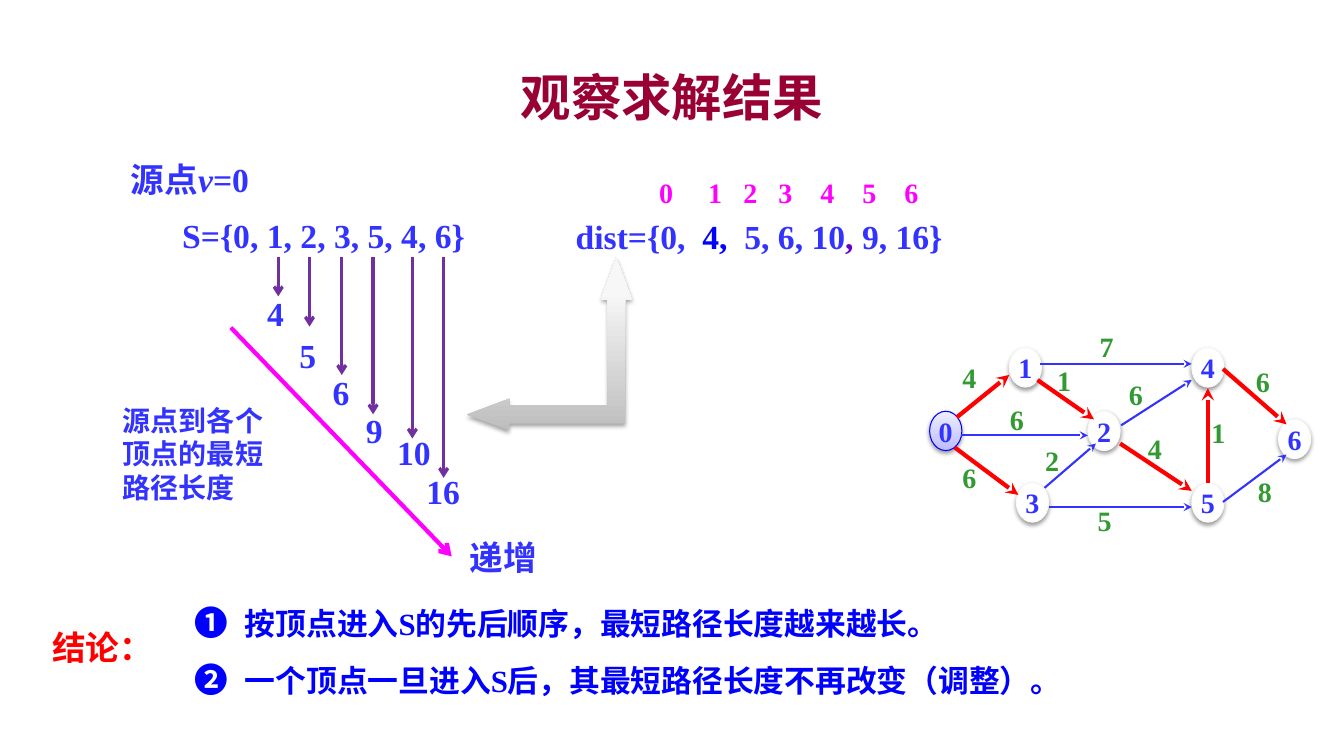
import pptx
import pptx.dml.color
import pptx.enum.dml
import pptx.enum.shapes
import pptx.enum.text
import pptx.oxml
import pptx.oxml.ns
import pptx.util

# Content: places and sizes count cells of a grid with 1333 columns and 750 rows
COLUMNS, ROWS = 1333, 750
CELL = pptx.util.Inches(0.01)
SERIF, SANS = "Times New Roman", "Noto Sans CJK SC"
BLUE, DEEP_BLUE, RED, GREEN = "3333FF", "0000FF", "FF0000", "339933"
MAGENTA, PURPLE, MAROON = "FF00FF", "7030A0", "990033"

TITLE = "观察求解结果"
SOURCE_VERTEX = [("源点", {}), ("v", {"italic": True}), ("=0", {})]
VERTEX_ORDER = "S={0, 1, 2, 3, 5, 4, 6}"
DISTANCES = [("dist={0,  ", BLUE), ("4,  ", DEEP_BLUE), ("5, 6, 10", BLUE),
             (", ", "6600CC"), ("9, 16}", BLUE)]
INDEX_TABS = [35, 60, 85, 115, 145, 175]  # points from the first index
CONCLUSIONS = [("❶", "按顶点进入S的先后顺序，最短路径长度越来越长。"),
               ("❷", "一个顶点一旦进入S后，其最短路径长度不再改变（调整）。")]

# Length, arrow column, arrow end row, label column, label row
PATH_LENGTHS = [("4", 276, 294, 255, 286), ("5", 307, 324, 287, 327),
                ("6", 339, 372, 320, 364), ("9", 370, 411, 353, 402),
                ("10", 409, 435, 384, 424), ("16", 440, 474, 413, 462)]
ARROW_TOP = 255

NODE_SIZE = (32, 39)
NODES = [(922, 408), (1001, 345), (1079, 408), (1008, 479),
         (1182, 345), (1182, 479), (1268, 416)]
# Start, end, weight, label place
TREE_EDGES = [((949, 414), (1001, 372), "4", (938, 353)),
              ((947, 444), (1010, 491), "6", (938, 452)),
              ((1029, 377), (1085, 416), "1", (1032, 356)),
              ((1111, 440), (1182, 487), "4", (1122, 423)),
              ((1198, 479), (1198, 385), "1", (1185, 407)),
              ((1213, 366), (1276, 421), "6", (1229, 357))]
OTHER_EDGES = [((953, 432), (1079, 432), "6", (985, 394)),
               ((1032, 361), (1182, 361), "7", (1074, 322)),
               ((1040, 503), (1182, 503), "5", (1072, 495)),
               ((1036, 484), (1087, 440), "2", (1020, 435)),
               ((1112, 422), (1182, 377), "6", (1103, 370)),
               ((1213, 498), (1276, 451), "8", (1231, 466))]

LEFT = pptx.enum.text.PP_ALIGN.LEFT
CENTER = pptx.enum.text.PP_ALIGN.CENTER
MIDDLE = pptx.enum.text.MSO_ANCHOR.MIDDLE

deck = pptx.Presentation()
deck.slide_width, deck.slide_height = COLUMNS * CELL, ROWS * CELL
page = deck.slides.add_slide(deck.slide_layouts[6])


def color(value):
    return pptx.dml.color.RGBColor.from_string(value)


def add_xml(parent, tag, **attributes):
    child = pptx.oxml.parse_xml(f"<a:{tag} {pptx.oxml.ns.nsdecls('a')}/>")
    for name, value in attributes.items():
        child.set(name, str(value))
    parent.append(child)
    return child


def assign(target, values):
    for name, value in values.items():
        setattr(target, name, value)


def add_span(para, text, size, hue, font=SERIF, **style):
    span = para.add_run()
    span.text = text
    assign(span.font, {"name": font, "size": pptx.util.Pt(size), "bold": True, **style})
    span.font.color.rgb = color(hue)
    add_xml(span.font._element, "ea", typeface=SANS)


def add_box(left, top, width, height, align=LEFT, inset=True, **frame_values):
    """Add a text box; return its first paragraph and its frame."""
    box = page.shapes.add_textbox(*(n * CELL for n in (left, top, width, height)))
    frame = box.text_frame
    assign(frame, {"word_wrap": True, **frame_values})
    if not inset:
        assign(frame, dict.fromkeys(
            ("margin_left", "margin_right", "margin_top", "margin_bottom"), 0))
    frame.paragraphs[0].alignment = align
    return frame.paragraphs[0], frame


def add_arrow(start, end, hue, weight, head="arrow"):
    line = page.shapes.add_connector(
        pptx.enum.shapes.MSO_CONNECTOR.STRAIGHT, *(n * CELL for n in (*start, *end)))
    line.line.color.rgb = color(hue)
    line.line.width = pptx.util.Pt(weight)
    add_xml(line.line._get_or_add_ln(), "tailEnd", type=head)
    add_xml(line._element.spPr, "effectLst")


def add_shadow(shape, opacity):
    shape.shadow.inherit = False
    effects = shape._element.spPr.find(pptx.oxml.ns.qn("a:effectLst"))
    shadow = add_xml(effects, "outerShdw", blurRad=pptx.util.Pt(3.1),
                     dist=pptx.util.Pt(1.7), dir=5400000, rotWithShape=0)
    add_xml(add_xml(shadow, "srgbClr", val="000000"), "alpha", val=opacity * 1000)


def fill_gradient(shape, bottom, top, reach):
    shape.fill.gradient()
    shape.fill.gradient_angle = 90
    for stop, hue, position in zip(shape.fill.gradient_stops, (bottom, top), (0, reach)):
        stop.color.rgb = color(hue)
        stop.position = position


# Title and the two result lines
para, _ = add_box(100, 58, 1133, 75, CENTER, vertical_anchor=MIDDLE)
add_span(para, TITLE, 36, MAROON, SANS)
para, _ = add_box(174, 213, 294, 40, CENTER, inset=False)
add_span(para, VERTEX_ORDER, 24, BLUE)
para, _ = add_box(571, 214, 401, 40, inset=False)
for text, hue in DISTANCES:
    add_span(para, text, 24, hue)
para, _ = add_box(120, 153, 172, 50)
for text, style in SOURCE_VERTEX:
    add_span(para, text, 24, BLUE, **style)

# Array indexes above the distances
para, _ = add_box(644, 169, 297, 44)
add_span(para, "\t".join(str(i) for i in range(len(NODES))), 20, MAGENTA)
tabs = add_xml(para._p.get_or_add_pPr(), "tabLst")
for stop in INDEX_TABS:
    add_xml(tabs, "tab", pos=pptx.util.Pt(stop), algn="l")

# Growing path lengths
add_arrow((229, 325), (448, 552), MAGENTA, 3)
para, _ = add_box(456, 528, 117, 50)
add_span(para, "递增", 24, BLUE, SANS)
for length, column, end, left, top in PATH_LENGTHS:
    add_arrow((column, ARROW_TOP), (column, end), PURPLE, 2.25)
    para, _ = add_box(left, top, 23 + 16 * len(length), 50)
    add_span(para, length, 24, BLUE)
para, _ = add_box(112, 395, 164, 111)
add_span(para, "源点到各个顶点的最短路径长度", 20, BLUE, SANS)

# Conclusions
para, _ = add_box(42, 617, 133, 50)
add_span(para, "结论：", 24, RED, SANS)
para, frame = add_box(183, 592, 850, 111)
for row, (number, text) in enumerate(CONCLUSIONS):
    if row:
        para = frame.add_paragraph()
        para.space_before = pptx.util.Pt(12)
    indent = 50 * CELL
    assign_to = para._p.get_or_add_pPr()
    assign_to.set("marL", str(indent))
    assign_to.set("indent", str(-indent))
    add_span(para, number + "\t", 24, DEEP_BLUE)
    add_span(para, text, 22, DEEP_BLUE)

# Bent double arrow
bent = page.shapes.add_shape(pptx.enum.shapes.MSO_SHAPE.LEFT_UP_ARROW,
                             *(n * CELL for n in (463, 255, 164, 172)))
for i, share in enumerate((0.108, 0.096, 0.258)):
    bent.adjustments[i] = share
fill_gradient(bent, "BEBEBE", "F7F7F7", 0.8)
bent.line.fill.background()
add_shadow(bent, 35)

# Graph: nodes, edges, weights
for name, place in enumerate(NODES):
    node = page.shapes.add_shape(pptx.enum.shapes.MSO_SHAPE.OVAL,
                                 *(n * CELL for n in place + NODE_SIZE))
    if name == 0:
        fill_gradient(node, "BDBDFF", "EEEEFF", 1)
    else:
        node.fill.solid()
        node.fill.fore_color.rgb = color("FFFFFF")
    node.line.color.rgb = color("F9F9F9" if name else "0000F9")
    node.line.width = pptx.util.Pt(0.75)
    add_shadow(node, 38)
    assign(node.text_frame, {"word_wrap": False, "vertical_anchor": MIDDLE})
    para = node.text_frame.paragraphs[0]
    para.alignment = CENTER
    add_span(para, str(name), 20, BLUE)
for edges, hue, width in ((OTHER_EDGES, BLUE, 1.5), (TREE_EDGES, RED, 3)):
    for start, end, weight, place in edges:
        add_arrow(start, end, hue, width, "stealth")
        para, _ = add_box(*place, 47, 43, CENTER)
        add_span(para, weight, 20, GREEN)

deck.save("out.pptx")
